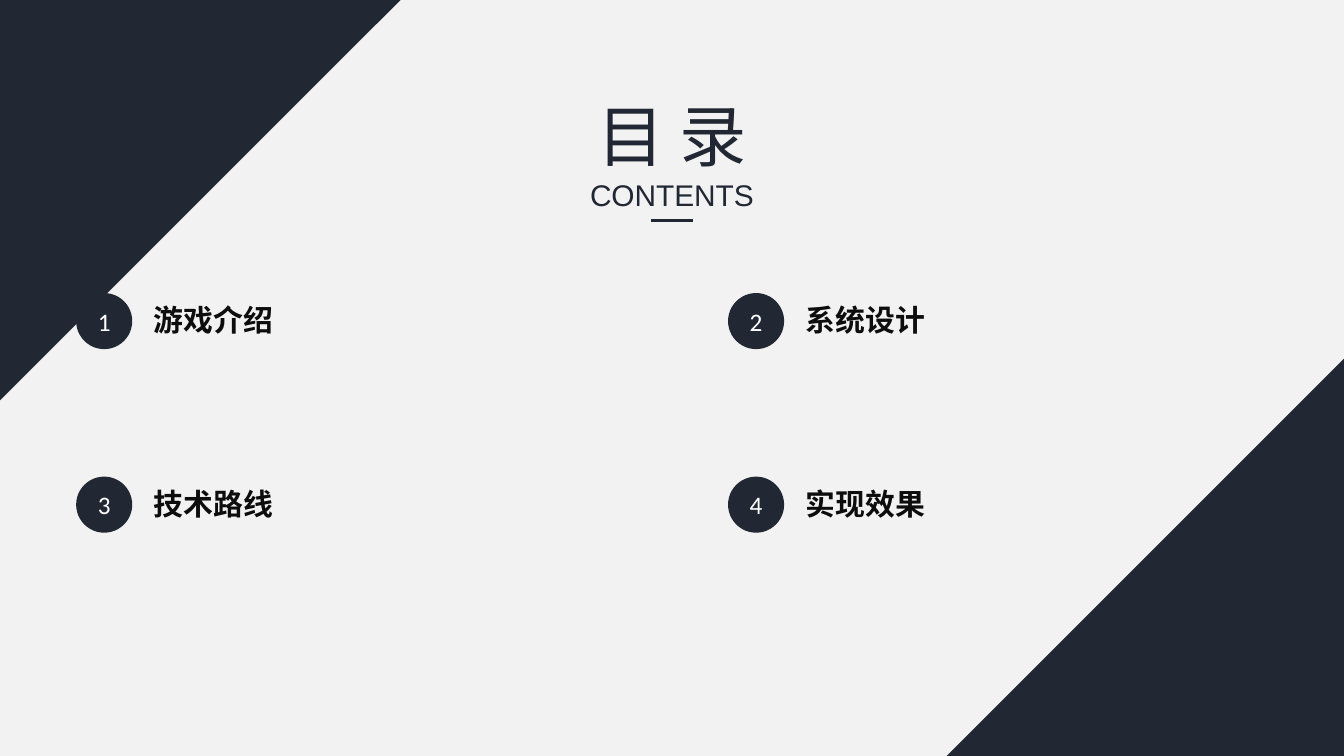
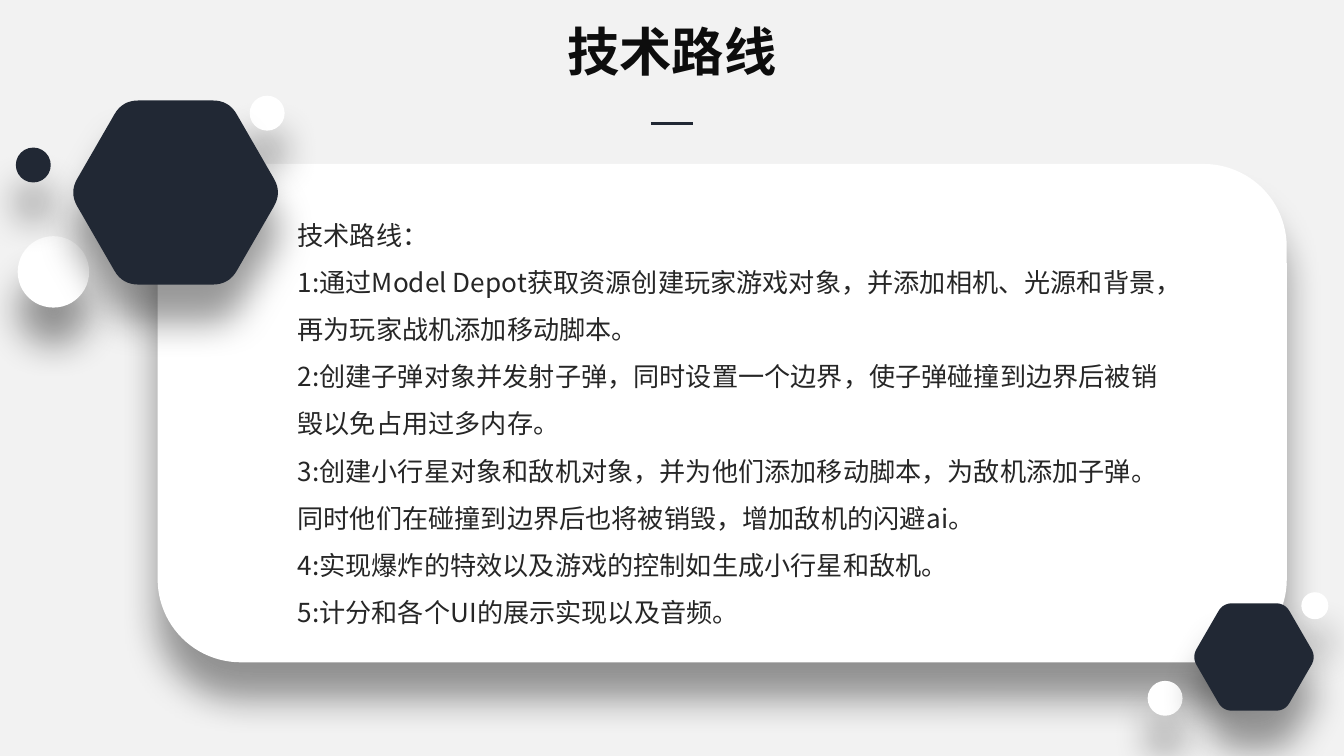
"""Builds a contents slide and a technical route slide for a game project."""
from math import cos, pi, sin

from lxml.etree import SubElement
from pptx import Presentation
from pptx.dml.color import RGBColor
from pptx.enum.shapes import MSO_CONNECTOR as Connector
from pptx.enum.shapes import MSO_SHAPE as Shape
from pptx.enum.text import MSO_ANCHOR as Anchor
from pptx.enum.text import MSO_AUTO_SIZE as AutoSize
from pptx.enum.text import PP_ALIGN as Align
from pptx.oxml.ns import qn
from pptx.util import Cm, Pt

COLORS = {
    "paper": "F2F2F2",
    "navy": "212834",
    "white": "FFFFFF",
    "heading": "0D0D0D",
    "body": "262626",
    "shadow": "000000",
}
CJK = "Noto Sans CJK SC"
WIDTH, HEIGHT = 25.4, 14.29
ENTRIES = ["游戏介绍", "系统设计", "技术路线", "实现效果"]
ROUTE = [
    "技术路线：",
    "1:通过Model Depot获取资源创建玩家游戏对象，并添加相机、光源和背景，再为玩家战机添加移动脚本。",
    "2:创建子弹对象并发射子弹，同时设置一个边界，使子弹碰撞到边界后被销毁以免占用过多内存。",
    "3:创建小行星对象和敌机对象，并为他们添加移动脚本，为敌机添加子弹。"
    "同时他们在碰撞到边界后也将被销毁，增加敌机的闪避ai。",
    "4:实现爆炸的特效以及游戏的控制如生成小行星和敌机。",
    "5:计分和各个UI的展示实现以及音频。",
]


def rgb(color):
    """Return the palette colour of that name."""
    return RGBColor.from_string(COLORS[color])


def add_slide(deck, layout):
    """Add a slide with the shared background."""
    slide = deck.slides.add_slide(deck.slide_layouts[layout])
    slide.background.fill.solid()
    slide.background.fill.fore_color.rgb = rgb("paper")
    return slide


def move(shape, box):
    """Place a shape on a box of left, top, width and height."""
    shape.left, shape.top, shape.width, shape.height = (Cm(n) for n in box)


def write(shape, lines, size, color, font=CJK, bold=False, align=Align.LEFT,
          anchor=Anchor.TOP, spacing=1.0):
    """Fill a shape with formatted paragraphs."""
    frame = shape.text_frame
    frame.text = "\n".join(lines)
    frame.word_wrap = True
    frame.auto_size = AutoSize.NONE
    frame.vertical_anchor = anchor
    for paragraph in frame.paragraphs:
        paragraph.alignment = align
        paragraph.line_spacing = spacing
        paragraph.space_before = Pt(0)
        for run in paragraph.runs:
            run.font.size = Pt(size)
            run.font.bold = bold
            run.font.color.rgb = rgb(color)
            run.font.name = font
            SubElement(run.font._element, qn("a:ea"), typeface=font)


def paint(shape, color, floating=False):
    """Give a shape a plain fill and, if it floats, a soft shadow below."""
    shape.fill.solid()
    shape.fill.fore_color.rgb = rgb(color)
    shape.line.fill.background()
    shape.shadow.inherit = False
    if floating:
        effects = shape._element.spPr.find(qn("a:effectLst"))
        shadow = SubElement(effects, qn("a:outerShdw"), blurRad=str(Pt(20)),
                            dist=str(Pt(20)), dir="5400000", algn="t",
                            rotWithShape="0")
        tint = SubElement(shadow, qn("a:srgbClr"), val=COLORS["shadow"])
        SubElement(tint, qn("a:alpha"), val="40000")


def add_preset(slide, preset, box, color, floating=False):
    """Add a painted preset shape on a box."""
    shape = slide.shapes.add_shape(preset, *(Cm(n) for n in box))
    paint(shape, color, floating)
    return shape


def add_label(slide, box, text, size, color, **style):
    """Add a text box with one line."""
    label = slide.shapes.add_textbox(*(Cm(n) for n in box))
    write(label, [text], size, color, **style)


def add_title(slide, box, text, size, color, bold, rule_top):
    """Format the centred title and draw the short rule below it."""
    title = slide.shapes.title
    move(title, box)
    write(title, [text], size, color, bold=bold, align=Align.CENTER)
    center = box[0] + box[2] / 2
    rule = slide.shapes.add_connector(
        Connector.STRAIGHT, Cm(center - 0.4), Cm(rule_top),
        Cm(center + 0.4), Cm(rule_top))
    rule.line.color.rgb = rgb("navy")
    rule.line.width = Pt(1.5)
    SubElement(rule._element.spPr, qn("a:effectLst"))


def add_corners(slide, side):
    """Add the dark triangles in two opposite corners."""
    for left, top, turn in ((WIDTH - side + 0.1, HEIGHT - side + 0.04, 270),
                            (-0.08, 0, 90)):
        corner = add_preset(slide, Shape.RIGHT_TRIANGLE,
                            (left, top, side, side), "navy")
        corner.rotation = turn


def add_entry(slide, left, top, number, text):
    """Add a numbered disc and its chapter name."""
    disc = add_preset(slide, Shape.OVAL, (left, top, 1.06, 1.06), "navy")
    write(disc, [str(number)], 13.5, "white", font="Calibri",
          align=Align.CENTER, anchor=Anchor.MIDDLE)
    add_label(slide, (left + 1.22, top + 0.04, 4.5, 0.94), text, 16,
              "heading", bold=True)


def add_hexagon(slide, center_x, center_y, height):
    """Add a floating hexagon with rounded corners."""
    side = height / (2 * sin(pi / 3))
    corners = [(center_x + side * cos(k * pi / 3),
                center_y + side * sin(k * pi / 3)) for k in range(6)]
    points = []
    for k, corner in enumerate(corners):
        before, after = corners[k - 1], corners[(k + 1) % 6]
        for step in range(9):
            t = step / 8
            points.append([
                Cm(c + 0.15 * ((1 - t) ** 2 * (b - c) + t ** 2 * (a - c)))
                for b, c, a in zip(before, corner, after)])
    builder = slide.shapes.build_freeform(*points[0])
    builder.add_line_segments(points[1:], close=True)
    paint(builder.convert_to_shape(), "navy", floating=True)


def add_cluster(slide, center_x, center_y, height, bubbles):
    """Add a hexagon with bubbles placed relative to its centre."""
    for dx, dy, size, color in bubbles:
        box = (center_x + dx - size / 2, center_y + dy - size / 2, size, size)
        add_preset(slide, Shape.OVAL, box, color, floating=True)
    add_hexagon(slide, center_x, center_y, height)


def add_card(slide, box, lines):
    """Add the white card and lay the body list on it."""
    left, top, width, height = box
    add_preset(slide, Shape.ROUNDED_RECTANGLE, box, "white", floating=True)
    body = slide.placeholders[1]
    move(body, (left + 2.39, top + 0.63, width - 4.14, height - 1.19))
    write(body, lines, 14, "body", spacing=1.5)
    for paragraph in body.text_frame.paragraphs:
        props = paragraph._p.get_or_add_pPr()
        props.set("marL", "0")
        props.set("indent", "0")
        SubElement(props, qn("a:buNone"))
    tree = body._element.getparent()
    tree.append(body._element)


def build_contents(deck):
    """Build the contents slide."""
    slide = add_slide(deck, 5)
    add_corners(slide, 7.65)
    for index, text in enumerate(ENTRIES):
        row, column = divmod(index, 2)
        add_entry(slide, 1.44 + column * 12.32, 5.54 + row * 3.47,
                  index + 1, text)
    add_label(slide, (10, 3.22, 5.4, 0.94), "CONTENTS", 16, "navy",
              font="Arial", align=Align.CENTER)
    add_title(slide, (10.2, 1.65, 5, 1.8), "目 录", 36, "navy", False, 4.17)


def build_route(deck):
    """Build the technical route slide."""
    slide = add_slide(deck, 1)
    add_card(slide, (2.98, 3.1, 21.34, 9.42), ROUTE)
    add_cluster(slide, 3.32, 3.64, 3.48, [
        (-2.31, 1.5, 1.35, "white"),
        (-2.69, -0.52, 0.66, "navy"),
        (1.73, -1.5, 0.66, "white")])
    add_cluster(slide, 23.7, 12.42, 2.03, [
        (-1.68, 0.78, 0.66, "white"),
        (1.15, -0.97, 0.51, "white")])
    add_title(slide, (9.7, 0.24, 6, 1.45), "技术路线", 28, "heading", True,
              2.34)


def main():
    """Build and save the deck."""
    deck = Presentation()
    deck.slide_width, deck.slide_height = Cm(WIDTH), Cm(HEIGHT)
    build_contents(deck)
    build_route(deck)
    deck.save("out.pptx")


main()
